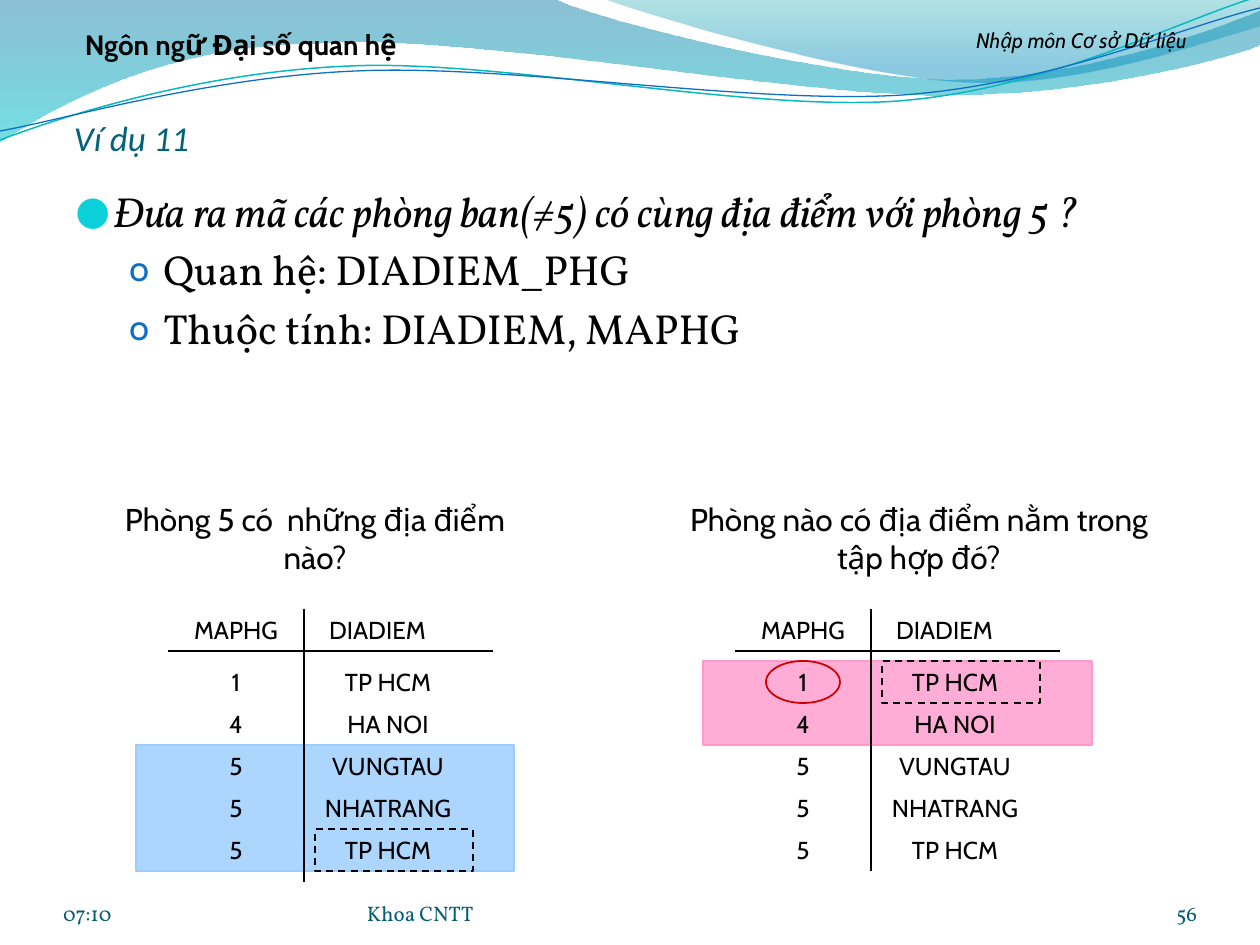
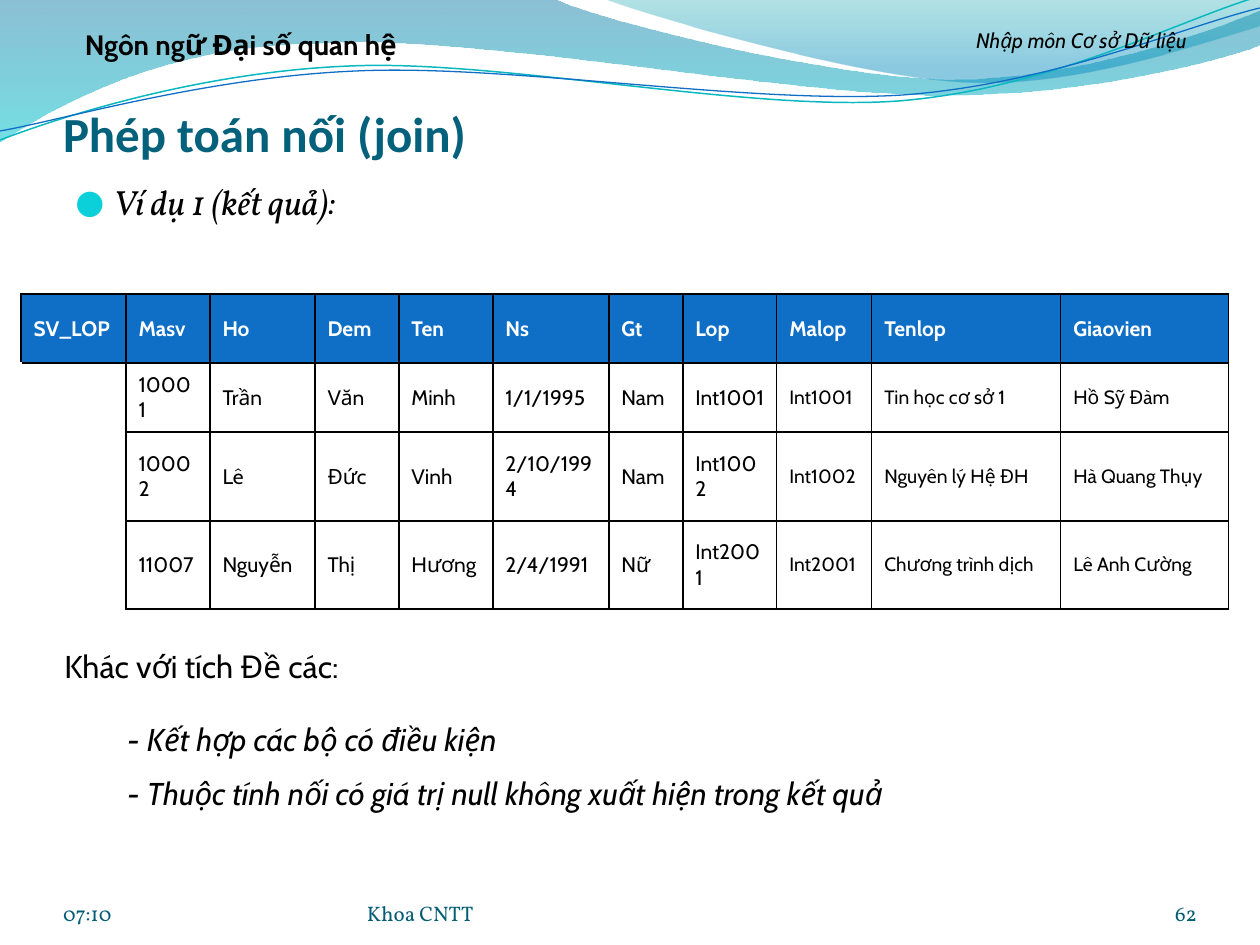
"""Two lecture slides on relational algebra."""
from dataclasses import dataclass

import pptx
import pptx.dml.color
import pptx.enum.dml
import pptx.enum.shapes
import pptx.enum.text
import pptx.oxml.ns
import pptx.util

SCALE = 914400 / 126
ALIGN = pptx.enum.text.PP_ALIGN
ANCHOR = pptx.enum.text.MSO_ANCHOR
SHAPE = pptx.enum.shapes.MSO_SHAPE
qn = pptx.oxml.ns.qn


def px(v):
    """Turn pixels into EMU."""
    return pptx.util.Emu(round(v * SCALE))


def rgb(value):
    """Turn RRGGBB into a colour."""
    return pptx.dml.color.RGBColor.from_string(value)


def add_xml(parent, tag, **attrs):
    """Append a DrawingML element and return it."""
    el = parent.makeelement(qn(tag), {k: str(v) for k, v in attrs.items()})
    parent.append(el)
    return el


def set_alpha(sp, opacities):
    """Give the fill colours of a shape their opacity in percent."""
    colors = sp.element.spPr.iter(qn("a:srgbClr"))
    for clr, opacity in zip(colors, opacities):
        add_xml(clr, "a:alpha", val=opacity * 1000)


@dataclass(frozen=True)
class Theme:
    """Colours, fonts and type sizes."""
    text: str = "000000"
    white: str = "FFFFFF"
    title: str = "04617B"
    footer: str = "045D75"
    blue: str = "0F6FC6"
    cyan: str = "0BD0D9"
    teal: str = "0AB8BF"
    pink: str = "FF99CC"
    sky: str = "99CCFF"
    red: str = "CC0000"
    sans: str = "Cabin"
    serif: str = "Vollkorn"
    heading: str = "Calibri"
    tiny: int = 11
    small: int = 12
    label: int = 14
    header: int = 16
    note: int = 18
    medium: int = 20
    large: int = 24
    big: int = 28


class Deck:
    """Holds the style and the current slide."""

    def __init__(self, theme):
        """Start an empty presentation."""
        self.th = theme
        self.prs = pptx.Presentation()
        self.prs.slide_width, self.prs.slide_height = px(1260), px(945)
        self.s = None

    def new_slide(self, number, footer_width):
        """Add a slide with its waves, running heads and footer."""
        th = self.th
        self.s = self.prs.slides.add_slide(self.prs.slide_layouts[6])
        self.band((0, -1), [
            [(554, -1)], [(600, 21), (837, 79), (955, 79)],
            [(1075, 79), (1207, 33), (1260, 11)], [(1261, 45)],
            [(1238, 55), (1096, 96), (940, 95)], [(783, 95), (481, 35), (324, 43)],
            [(163, 44), (58, 105), (-1, 142)]],
            [(0, "0074A1", 45), (1, "00C6CF", 55)])
        self.band((604, -1), [
            [(641, 14), (859, 78), (969, 82)],
            [(1079, 87), (1211, 40), (1260, 26)], [(1260, 0)]],
            [(0, "00A1A9", 30), (0.8, "008BBF", 45)])
        self.wave((0, 140), [
            [(60, 117), (199, 72), (349, 66)], [(498, 59), (747, 112), (898, 101)],
            [(1050, 89), (1182, 19), (1257, -3)]], th.teal, 0.85)
        self.wave((0, 131), [
            [(59, 121), (207, 77), (357, 71)], [(508, 64), (752, 105), (903, 95)],
            [(1053, 84), (1185, 26), (1260, 8)]], th.blue, 0.75)
        self.text((903, 21, 357, 48), ["Nhập môn Cơ sở Dữ liệu"], th.small,
                  align=ALIGN.CENTER, italic=True)
        self.text((31, 21, 420, 47), ["Ngôn ngữ Đại số quan hệ"], th.header,
                  align=ALIGN.CENTER, bold=True)
        for x, w, words, align in ((63, 294, "07:10", ALIGN.LEFT),
                                   (367, footer_width, "Khoa CNTT", ALIGN.LEFT),
                                   (1092, 105, str(number), ALIGN.RIGHT)):
            self.text((x, 876, w, 50), [words], th.small, font=th.serif, color=th.footer,
                      align=align, anchor=ANCHOR.BOTTOM, insets=(0, 0, 0, 0))

    def freeform(self, start, segments, close):
        """Draw an outline of lines (one point) and Bezier curves (three)."""
        fb = self.s.shapes.build_freeform(*map(px, start))
        fb.add_line_segments([tuple(map(px, seg[-1])) for seg in segments], close=close)
        sp = fb.convert_to_shape()
        sp.shadow.inherit = False
        lines = list(sp.element.spPr.iter(qn("a:lnTo")))
        for ln, seg in zip(lines, segments):
            if len(seg) == 3:
                curve = ln.makeelement(qn("a:cubicBezTo"), {})
                for x, y in seg:
                    add_xml(curve, "a:pt", x=px(x) - sp.left, y=px(y) - sp.top)
                ln.getparent().replace(ln, curve)
        return sp

    def band(self, start, segments, stops):
        """Draw a curved band with a see-through vertical gradient."""
        sp = self.freeform(start, segments, True)
        sp.line.fill.background()
        sp.fill.gradient()
        sp.fill.gradient_angle = 270
        for stop, (position, color, _) in zip(sp.fill.gradient_stops, stops):
            stop.position = position
            stop.color.rgb = rgb(color)
        set_alpha(sp, [opacity for _, _, opacity in stops])

    def wave(self, start, segments, color, width):
        """Draw a thin curved line."""
        sp = self.freeform(start, segments, False)
        sp.fill.background()
        self.stroke(sp.line, color, width)

    def stroke(self, line, color, width=1):
        """Set the colour and width of a line."""
        line.color.rgb = rgb(color)
        line.width = pptx.util.Pt(width)

    def run(self, p, words, size, font, color, bold=False, italic=False):
        """Add one styled run."""
        r = p.add_run()
        r.text = words
        f = r.font
        f.size, f.name, f.bold, f.italic = pptx.util.Pt(size), font, bold, italic
        f.color.rgb = rgb(color)

    def text(self, box, lines, size, font=None, color=None, align=ALIGN.LEFT,
             anchor=ANCHOR.TOP, insets=None, indent=0, **style):
        """Add a text box, one paragraph a line."""
        tf = self.s.shapes.add_textbox(*map(px, box)).text_frame
        tf.word_wrap = True
        tf.vertical_anchor = anchor
        if insets:
            tf.margin_left, tf.margin_top, tf.margin_right, tf.margin_bottom = map(px, insets)
        for i, words in enumerate(lines):
            p = tf.paragraphs[0] if i == 0 else tf.add_paragraph()
            p.alignment = align
            if i:
                p.space_before = pptx.util.Pt(size / 2)
            if indent:
                p.level = 1
                p._p.get_or_add_pPr().set("marL", str(px(indent)))
            self.run(p, words, size, font or self.th.sans, color or self.th.text, **style)

    def title(self, box, words, size, **style):
        """Add the slide title."""
        self.text(box, [words], size, font=self.th.heading, color=self.th.title,
                  anchor=ANCHOR.BOTTOM, insets=(0, 6, 0, 0), **style)

    def body(self, box, items, size, spacing=1.0):
        """Add bulleted text; each item is (level, words)."""
        th = self.th
        levels = ((38, -38, "●", th.cyan, 95), (88, -34, "o", th.blue, 85))
        tf = self.s.shapes.add_textbox(*map(px, box)).text_frame
        tf.word_wrap = True
        for i, (level, words) in enumerate(items):
            p = tf.paragraphs[0] if i == 0 else tf.add_paragraph()
            p.level, p.line_spacing = level, spacing
            if i:
                p.space_before = pptx.util.Pt(size * 0.2)
            left, hang, char, color, percent = levels[level]
            pPr = p._p.get_or_add_pPr()
            pPr.set("marL", str(px(left)))
            pPr.set("indent", str(px(hang)))
            add_xml(add_xml(pPr, "a:buClr"), "a:srgbClr", val=color)
            add_xml(pPr, "a:buSzPct", val=percent * 1000)
            add_xml(pPr, "a:buFont", typeface=th.sans)
            add_xml(pPr, "a:buChar", char=char)
            self.run(p, words, size, th.serif, th.text, italic=level == 0)

    def line(self, x1, y1, x2, y2):
        """Draw a straight black line."""
        cn = self.s.shapes.add_connector(
            pptx.enum.shapes.MSO_CONNECTOR.STRAIGHT, *map(px, (x1, y1, x2, y2)))
        self.stroke(cn.line, self.th.text)
        add_xml(cn.element.spPr, "a:effectLst")

    def mark(self, kind, box, color, filled=False, dashed=False):
        """Mark cells with a tinted or an outlined shape."""
        sp = self.s.shapes.add_shape(kind, *map(px, box))
        sp.shadow.inherit = False
        if filled:
            sp.fill.solid()
            sp.fill.fore_color.rgb = rgb(color)
            set_alpha(sp, [80])
        else:
            sp.fill.background()
        self.stroke(sp.line, color)
        if dashed:
            sp.line.dash_style = pptx.enum.dml.MSO_LINE.DASH

    def relation(self, x, rows, tint, first, count, width, bottom):
        """Draw a two-column relation with some rows tinted."""
        top, step, split = 609, 42, x + 136
        row_y = [661 + step * i for i in range(len(rows))]
        self.mark(SHAPE.RECTANGLE, (x - 32, row_y[first], width, step * count), tint, filled=True)
        self.line(x, 651, x + 325, 651)
        self.line(split, top, split, bottom)
        cells = [(x, top, 136, "MAPHG"), (split, top, 147, "DIADIEM")]
        for y, (code, place) in zip(row_y, rows):
            cells += [(x, y, 136, code), (split, y, 168, place)]
        for left, y, w, words in cells:
            self.text((left, y, w, step), [words], self.th.label, align=ALIGN.CENTER)

    def borders(self, cell, colors):
        """Set the left, right, top and bottom borders of a cell."""
        tcPr = cell._tc.get_or_add_tcPr()
        for i, (side, color) in enumerate(zip("LRTB", colors)):
            ln = tcPr.makeelement(qn("a:ln" + side), {"w": "12700"})
            tcPr.insert(i, ln)
            add_xml(add_xml(ln, "a:solidFill"), "a:srgbClr", val=color)

    def table(self, left, top, widths, heights, rows, small_from):
        """Add a table with a blue heading row and an open first column."""
        th = self.th
        tb = self.s.shapes.add_table(len(rows), len(widths), px(left), px(top),
                                     px(sum(widths)), px(sum(heights))).table
        tb.horz_banding = False
        for col, w in zip(tb.columns, widths):
            col.width = px(w)
        for row, h in zip(tb.rows, heights):
            row.height = px(h)
        for i, row in enumerate(rows):
            for j, words in enumerate(row):
                cell = tb.cell(i, j)
                cell.vertical_anchor = ANCHOR.MIDDLE
                if i == 0:
                    cell.fill.solid()
                    cell.fill.fore_color.rgb = rgb(th.blue)
                else:
                    cell.fill.background()
                if words:
                    size = th.tiny if i and j >= small_from else th.small
                    self.run(cell.text_frame.paragraphs[0], words, size, th.sans,
                             th.text if i else th.white, bold=i == 0)
                    self.borders(cell, [th.text] * 4)
                else:
                    above = th.text if i == 1 else th.white
                    self.borders(cell, (th.white, th.text, above, th.white))


th = Theme()
deck = Deck(th)

deck.new_slide(56, 462)
deck.title((74, 95, 1134, 64), "Ví dụ 11", th.medium, italic=True)
deck.body((63, 179, 1166, 714), [
    (0, "Đưa ra mã các phòng ban(≠5) có cùng địa điểm với phòng 5 ?"),
    (1, "Quan hệ: DIADIEM_PHG"),
    (1, "Thuộc tính: DIADIEM, MAPHG")], th.large)
for x, w, question in ((105, 420, "Phòng 5 có  những địa điểm nào?"),
                       (672, 494, "Phòng nào có địa điểm nằm trong tập hợp đó?")):
    deck.text((x, 494, w, 88), [question], th.note, align=ALIGN.CENTER)
places = [("1", "TP HCM"), ("4", "HA NOI"), ("5", "VUNGTAU"),
          ("5", "NHATRANG"), ("5", "TP HCM")]
deck.relation(735, places, th.pink, first=0, count=2, width=389, bottom=871)
deck.relation(168, places, th.sky, first=2, count=3, width=378, bottom=882)
deck.mark(SHAPE.OVAL, (766, 661, 74, 42), th.red)
for x, y in ((315, 829), (882, 661)):
    deck.mark(SHAPE.RECTANGLE, (x, y, 158, 42), th.text, dashed=True)

deck.new_slide(62, 336)
deck.title((63, 76, 1176, 86), "Phép toán nối (join)", th.big, bold=True)
deck.body((63, 179, 1134, 667), [(0, "Ví dụ 1 (kết quả):")], th.medium, spacing=0.9)
deck.table(21, 294, [105, 84, 105, 84, 94, 116, 74, 94, 95, 189, 168], [69, 69, 89, 88], [
    ("SV_LOP", "Masv", "Ho", "Dem", "Ten", "Ns", "Gt", "Lop", "Malop", "Tenlop", "Giaovien"),
    ("", "10001", "Trần", "Văn", "Minh", "1/1/1995", "Nam", "Int1001", "Int1001",
     "Tin học cơ sở 1", "Hồ Sỹ Đàm"),
    ("", "10002", "Lê", "Đức", "Vinh", "2/10/1994", "Nam", "Int1002", "Int1002",
     "Nguyên lý Hệ ĐH", "Hà Quang Thụy"),
    ("", "11007", "Nguyễn", "Thị", "Hương", "2/4/1991", "Nữ", "Int2001", "Int2001",
     "Chương trình dịch", "Lê Anh Cường")], small_from=8)
deck.text((52, 714, 982, 108), [
    "- Kết hợp các bộ có điều kiện",
    "- Thuộc tính nối có giá trị null không xuất hiện trong kết quả"],
    th.note, indent=63, italic=True)
deck.text((52, 641, 982, 50), ["Khác với tích Đề các:"], th.note)

deck.prs.save("out.pptx")
